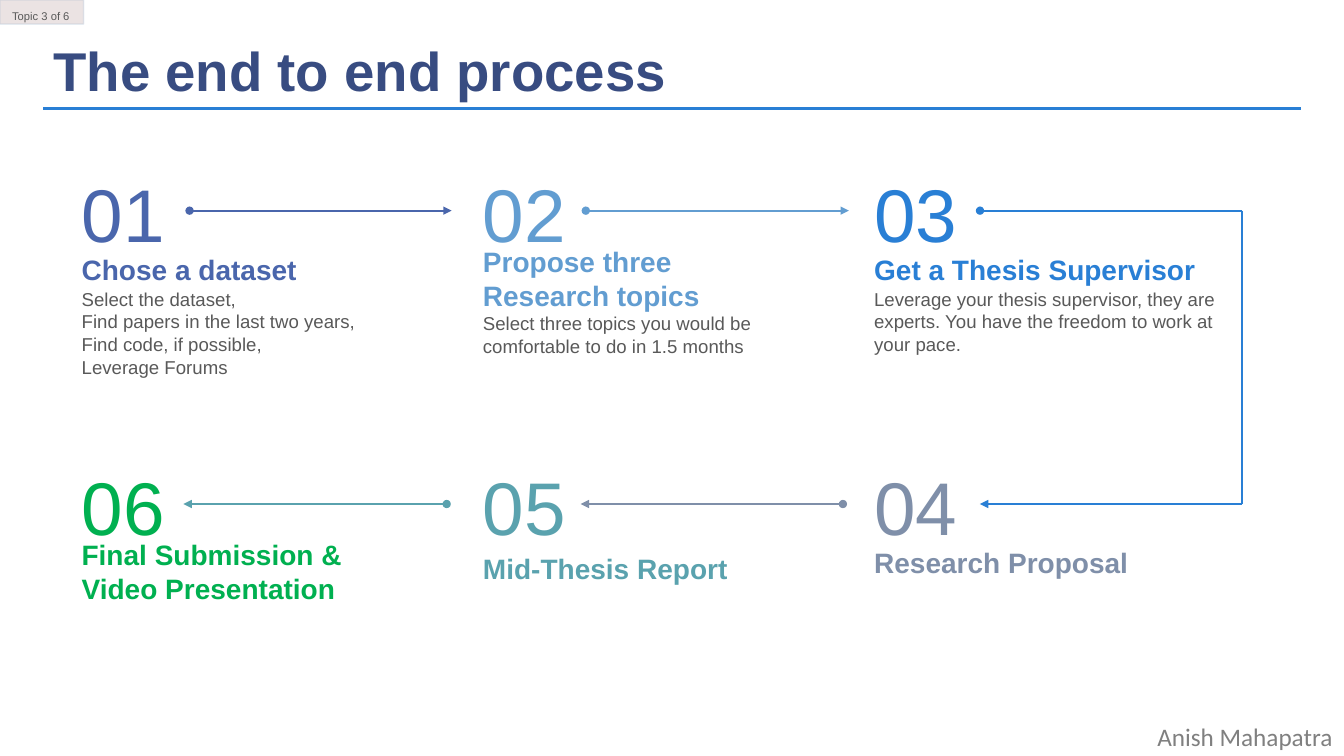
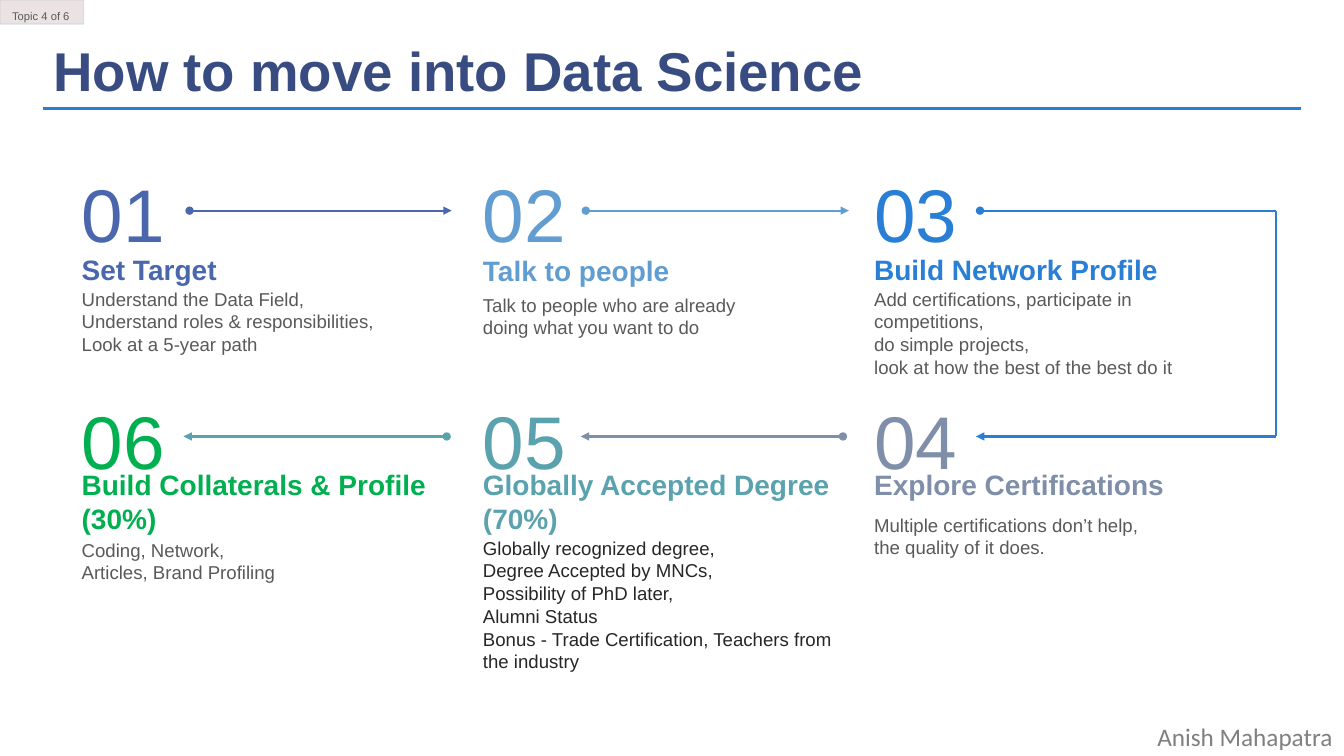
import pptx
import pptx.dml.color
import pptx.enum.shapes
import pptx.enum.text
import pptx.oxml.ns
import pptx.oxml.xmlchemy
import pptx.util
from dataclasses import dataclass

PX = 9144  # EMU in one px, 100 px to the inch


@dataclass(frozen=True)
class Theme:
    font: str = "Arial"
    signature_font: str = "Calibri"
    title_size: float = 39
    number_size: float = 53.3
    heading_size: float = 20
    body_size: float = 13.3
    signature_size: float = 18
    tag_size: float = 8
    leading: float = 1.22
    rule_width: float = 2.25
    arrow_width: float = 1.5
    title: str = "384C81"
    accent: str = "297FD5"
    body: str = "595959"
    strong_body: str = "262626"
    signature: str = "808080"
    tag_fill: str = "7A4646"
    tag_line: str = "1F5FA0"
    steps: tuple = ("4A66AC", "629DD1", "297FD5", "7F8FA9", "5AA2AE", "00B050")


THEME = Theme()

# Content: each step is (heading lines, heading top, body lines, body top)
SLIDES = [
    {
        "title": "The end to end process",
        "tag": "Topic 3 of 6",
        "row_tops": (165, 456),
        "arrow_rows": (209, 500),
        "loop_right": 1232,
        "loop_end": 972,
        "strong_steps": (),
        "steps": [
            (["Chose a dataset"], 250,
             ["Select the dataset,", "Find papers in the last two years,",
              "Find code, if possible,", "Leverage Forums"], 285),
            (["Propose three", "Research topics"], 242,
             ["Select three topics you would be comfortable to do in 1.5 months"], 309),
            (["Get a Thesis Supervisor"], 250,
             ["Leverage your thesis supervisor, they are experts. "
              "You have the freedom to work at your pace."], 285),
            (["Research Proposal"], 541, [], 0),
            (["Mid-Thesis Report"], 547, [], 0),
            (["Final Submission &", "Video Presentation"], 533, [], 0),
        ],
    },
    {
        "title": "How to move into Data Science",
        "tag": "Topic 4 of 6",
        "row_tops": (165, 390),
        "arrow_rows": (209, 433),
        "loop_right": 1266,
        "loop_end": 968,
        "strong_steps": (4,),
        "steps": [
            (["Set Target"], 250,
             ["Understand the Data Field,", "Understand roles & responsibilities,",
              "Look at a 5-year path"], 285),
            (["Talk to people"], 251,
             ["Talk to people who are already doing what you want to do"], 291),
            (["Build Network Profile"], 250,
             ["Add certifications, participate in competitions,",
              "do simple projects,", "look at how the best of the best do it"], 285),
            (["Explore Certifications"], 463,
             ["Multiple certifications don’t help,", "the quality of it does."], 509),
            (["Globally Accepted Degree", "(70%)"], 463,
             ["Globally recognized degree,", "Degree Accepted by MNCs,",
              "Possibility of PhD later,", "Alumni Status",
              "Bonus - Trade Certification, Teachers from the industry"], 532),
            (["Build Collaterals & Profile", "(30%)"], 463,
             ["Coding, Network,", "Articles, Brand Profiling"], 534),
        ],
    },
]

# Grid
COLUMNS = (81, 479, 867)
TEXT_WIDTH = 360
UPPER_BODY_WIDTHS = (339, 297, 360)
NUMBER_SIZE = (90, 90)
LOOP_START = 972
# Arrows by the step they leave: (start, end, row)
STEP_ARROWS = {0: (188, 448, 0), 1: (581, 842, 0), 3: (836, 576, 1), 4: (443, 182, 1)}
TAG_BOX = (0, 0, 83, 24)
TITLE_BOX = (43, 31, 1247, 77)
RULE = (1290, 108, 43, 108)
SIGNATURE_BOX = (1138, 710, 195, 40)


def emu(*lengths):
    return [pptx.util.Emu(length * PX) for length in lengths]


def rgb(color):
    return pptx.dml.color.RGBColor.from_string(color)


def write(frame, lines, size, color, font=THEME.font, bold=False,
          spacing=None, wrap=True, insets=(0, 0, 0, 0)):
    """Fill a text frame with one paragraph for each line."""
    frame.word_wrap = wrap
    frame.auto_size = pptx.enum.text.MSO_AUTO_SIZE.NONE
    frame.vertical_anchor = pptx.enum.text.MSO_ANCHOR.TOP
    (frame.margin_left, frame.margin_top,
     frame.margin_right, frame.margin_bottom) = emu(*insets)
    for index, line in enumerate(lines):
        para = frame.paragraphs[0] if index == 0 else frame.add_paragraph()
        para.alignment = pptx.enum.text.PP_ALIGN.LEFT
        para.line_spacing = spacing or pptx.util.Pt(round(size * THEME.leading, 1))
        span = para.add_run()
        span.text = line
        span.font.name = font
        span.font.size = pptx.util.Pt(size)
        span.font.bold = bold
        span.font.color.rgb = rgb(color)


def add_text(page, place, lines, size, color, **style):
    box = page.shapes.add_textbox(*emu(*place))
    write(box.text_frame, lines, size, color, **style)
    return box


def add_line(page, points, color, width=THEME.arrow_width, head=None, tail=None):
    line = page.shapes.add_connector(
        pptx.enum.shapes.MSO_CONNECTOR.STRAIGHT, *emu(*points))
    line.line.color.rgb = rgb(color)
    line.line.width = pptx.util.Pt(width)
    properties = line.element.spPr
    stroke = properties.find(pptx.oxml.ns.qn("a:ln"))
    for name, end in (("a:headEnd", head), ("a:tailEnd", tail)):
        if end:
            mark = pptx.oxml.xmlchemy.OxmlElement(name)
            mark.set("type", end)
            stroke.append(mark)
    properties.append(pptx.oxml.xmlchemy.OxmlElement("a:effectLst"))
    return line


def set_opacity(element, percent):
    color = element.find(".//" + pptx.oxml.ns.qn("a:srgbClr"))
    alpha = pptx.oxml.xmlchemy.OxmlElement("a:alpha")
    alpha.set("val", str(percent * 1000))
    color.append(alpha)


def add_tag_plate(page):
    plate = page.shapes.add_shape(
        pptx.enum.shapes.MSO_SHAPE.RECTANGLE, *emu(*TAG_BOX))
    plate.shadow.inherit = False
    plate.fill.solid()
    plate.fill.fore_color.rgb = rgb(THEME.tag_fill)
    plate.line.color.rgb = rgb(THEME.tag_line)
    plate.line.width = pptx.util.Pt(1)
    properties = plate.element.spPr
    set_opacity(properties.find(pptx.oxml.ns.qn("a:solidFill")), 15)
    set_opacity(properties.find(pptx.oxml.ns.qn("a:ln")), 10)
    return plate


def furnish_layout(layout, page):
    """Draw the shared parts once and move them to the layout."""
    for holder in list(layout.placeholders):
        if holder.placeholder_format.idx != 0:
            holder.element.getparent().remove(holder.element)
    shared = [
        add_line(page, RULE, THEME.accent, width=THEME.rule_width),
        add_tag_plate(page),
        add_text(page, SIGNATURE_BOX, ["Anish Mahapatra"], THEME.signature_size,
                 THEME.signature, font=THEME.signature_font, wrap=False,
                 insets=(10, 5, 10, 5)),
    ]
    for shape in shared:
        layout.shapes.element.append(shape.element)


def add_step(page, content, index):
    heading, heading_top, body, body_top = content["steps"][index]
    row = index // 3
    column = index if row == 0 else 5 - index  # lower row runs right to left
    left = COLUMNS[column]
    color = THEME.steps[index]
    add_text(page, (left, content["row_tops"][row], *NUMBER_SIZE),
             [f"{index + 1:02d}"], THEME.number_size, color)
    add_text(page, (left, heading_top, TEXT_WIDTH, 34 * len(heading)),
             heading, THEME.heading_size, color, bold=True)
    if body:
        width = TEXT_WIDTH if row else UPPER_BODY_WIDTHS[column]
        strong = index in content["strong_steps"]
        add_text(page, (left, body_top, width, 23 * max(len(body), 2)), body,
                 THEME.body_size, THEME.strong_body if strong else THEME.body)


def add_arrows(page, content):
    upper, lower = content["arrow_rows"]
    for index, (start, end, row) in STEP_ARROWS.items():
        y = content["arrow_rows"][row]
        add_line(page, (start, y, end, y), THEME.steps[index],
                 head="oval", tail="triangle")
    # Loop from step 03 down to step 04
    right = content["loop_right"]
    add_line(page, (LOOP_START, upper, right, upper), THEME.accent, head="oval")
    add_line(page, (right, upper, right, lower), THEME.accent)
    add_line(page, (right, lower, content["loop_end"], lower), THEME.accent,
             tail="triangle")


def fill_page(page, content):
    title = page.shapes.title
    title.left, title.top, title.width, title.height = emu(*TITLE_BOX)
    write(title.text_frame, [content["title"]], THEME.title_size, THEME.title,
          bold=True, insets=(10, 5, 10, 5))
    add_text(page, TAG_BOX, [content["tag"]], THEME.tag_size, THEME.body,
             spacing=1.5, wrap=False, insets=(12, 3, 0, 0))
    for index in range(len(content["steps"])):
        add_step(page, content, index)
    add_arrows(page, content)


def main():
    deck = pptx.Presentation()
    deck.slide_width, deck.slide_height = emu(1333, 750)
    layout = deck.slide_layouts[5]
    pages = [deck.slides.add_slide(layout) for _ in SLIDES]
    furnish_layout(layout, pages[0])
    for page, content in zip(pages, SLIDES):
        fill_page(page, content)
    deck.save("out.pptx")


if __name__ == "__main__":
    main()
